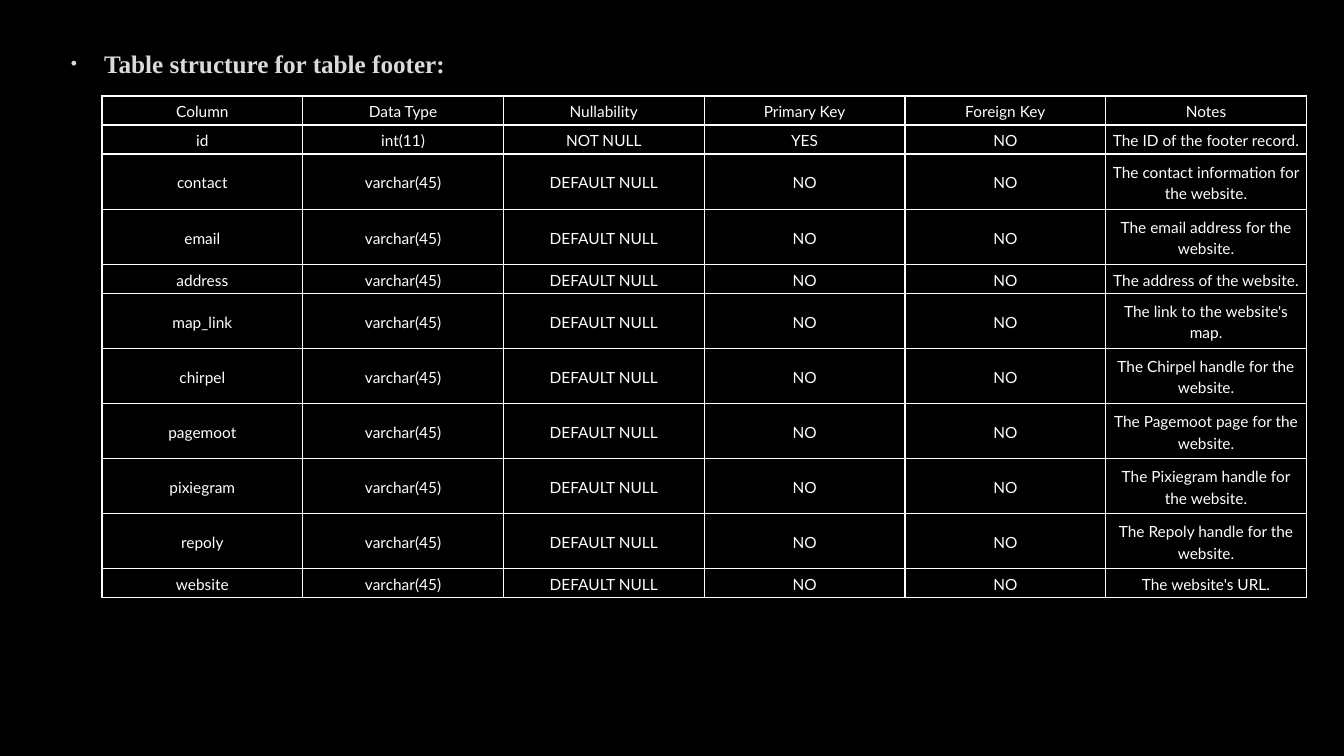
from lxml import etree
from pptx import Presentation
from pptx import util as u
from pptx.dml import color
from pptx.enum import text
from pptx.oxml import ns, parse_xml

COLORS = {"background": "000000", "heading": "DADADA", "outline": "404040",
          "table": "FFFFFF"}
NULLABLE = ("varchar(45)", "DEFAULT NULL", "NO", "NO")
ROWS = [
    ("Column", "Data Type", "Nullability", "Primary Key", "Foreign Key", "Notes"),
    ("id", "int(11)", "NOT NULL", "YES", "NO", "The ID of the footer record."),
    ("contact", *NULLABLE, "The contact information for the website."),
    ("email", *NULLABLE, "The email address for the website."),
    ("address", *NULLABLE, "The address of the website."),
    ("map_link", *NULLABLE, "The link to the website's map."),
    ("chirpel", *NULLABLE, "The Chirpel handle for the website."),
    ("pagemoot", *NULLABLE, "The Pagemoot page for the website."),
    ("pixiegram", *NULLABLE, "The Pixiegram handle for the website."),
    ("repoly", *NULLABLE, "The Repoly handle for the website."),
    ("website", *NULLABLE, "The website's URL."),
]
ONE_LINE, TWO_LINES = u.Cm(0.73), u.Cm(1.39)
COLUMN_WIDTH = u.Cm(5.06)


def line_xml(tag, width, hex_color, alpha=100):
    return parse_xml(
        f'<a:{tag} {ns.nsdecls("a")} w="{u.Pt(width)}"><a:solidFill>'
        f'<a:srgbClr val="{hex_color}"><a:alpha val="{alpha * 1000}"/></a:srgbClr>'
        f'</a:solidFill><a:prstDash val="solid"/></a:{tag}>')


def add_run(para, wording, font, size, hex_color, bold=False):
    span = para.add_run()
    span.text = wording
    span.font.name = font
    span.font.size = u.Pt(size)
    span.font.bold = bold
    span.font.color.rgb = color.RGBColor.from_string(hex_color)
    return span


# Slide
deck = Presentation()
deck.slide_width, deck.slide_height = u.Cm(33.87), u.Cm(19.05)
page = deck.slides.add_slide(deck.slide_layouts[5])
page.background.fill.solid()
page.background.fill.fore_color.rgb = color.RGBColor.from_string(COLORS["background"])

# Bulleted heading
heading = page.shapes.title
heading.left, heading.top = u.Cm(1.4), u.Cm(1.1)
heading.width, heading.height = u.Cm(31.57), u.Cm(1.2)
frame = heading.text_frame
frame.word_wrap = True
frame.auto_size = text.MSO_AUTO_SIZE.NONE
frame.vertical_anchor = text.MSO_ANCHOR.TOP
para = frame.paragraphs[0]
para.alignment = text.PP_ALIGN.LEFT
para.space_after = u.Pt(6)
span = add_run(para, "Table structure for table footer:", "Times New Roman", 18,
               COLORS["heading"], bold=True)
span.font._element.insert(0, line_xml("ln", 0.75, COLORS["outline"], alpha=10))

props = para._p.get_or_add_pPr()
props.set("marL", str(u.Cm(0.97)))
props.set("indent", str(u.Cm(-0.84)))
bullet_color = etree.SubElement(props, ns.qn("a:buClr"))
etree.SubElement(bullet_color, ns.qn("a:srgbClr"), val=COLORS["heading"])
etree.SubElement(props, ns.qn("a:buSzPct"), val="70000")
etree.SubElement(props, ns.qn("a:buFont"), typeface="Arial")
etree.SubElement(props, ns.qn("a:buChar"), char="•")

# Table of columns
heights = [TWO_LINES if len(row[-1]) > 28 else ONE_LINE for row in ROWS]
table = page.shapes.add_table(len(ROWS), len(ROWS[0]), u.Cm(2.57), u.Cm(2.42),
                              COLUMN_WIDTH * len(ROWS[0]), sum(heights)).table
table.first_row = table.horz_banding = False
for column in table.columns:
    column.width = COLUMN_WIDTH

for r, row in enumerate(ROWS):
    table.rows[r].height = heights[r]
    for c, wording in enumerate(row):
        cell = table.cell(r, c)
        cell.margin_left = cell.margin_right = u.Cm(0.08)
        cell.margin_top = cell.margin_bottom = u.Cm(0.05)
        cell.vertical_anchor = text.MSO_ANCHOR.MIDDLE
        para = cell.text_frame.paragraphs[0]
        para.alignment = text.PP_ALIGN.CENTER
        para.line_spacing = 1.15
        add_run(para, wording, "Lato", 11, COLORS["table"])
        # Borders come before the fill in the cell properties
        cell_props = cell._tc.get_or_add_tcPr()
        for side in ("lnL", "lnR", "lnT", "lnB"):
            cell_props.append(line_xml(side, 1, COLORS["table"]))
        cell.fill.background()

deck.save("out.pptx")
